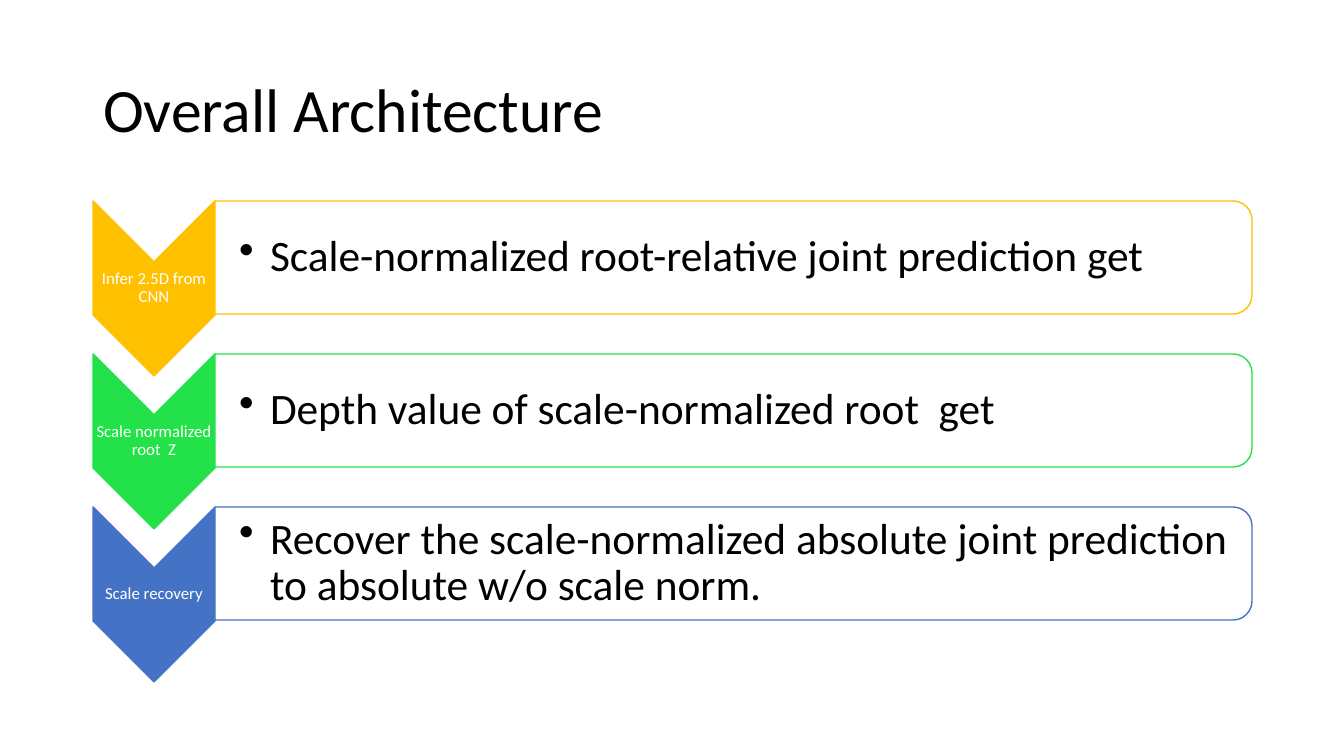
"""Build the Overall Architecture slide: three chevron steps with their results."""
from dataclasses import dataclass

from lxml import etree
from pptx import Presentation, util as u
from pptx.dml.color import RGBColor
from pptx.enum import shapes, text
from pptx.oxml.ns import qn

TITLE = "Overall Architecture"
STEPS = [
    ("Infer 2.5D from CNN", "Scale-normalized root-relative joint prediction get", "FFC000"),
    ("Scale normalized root  Z", "Depth value of scale-normalized root  get", "23E148"),
    ("Scale recovery",
     "Recover the scale-normalized absolute joint prediction to absolute w/o scale norm.", "4472C4"),
]


@dataclass(frozen=True)
class Theme:
    font: str = "Calibri"
    ink: str = "000000"
    paper: str = "FFFFFF"
    title_size: int = 44
    result_size: int = 31
    step_size: int = 12
    panel_alpha: int = 90
    outline: int = 1


THEME = Theme()
SLIDE_W, SLIDE_H = 1344, 756
LEFT, TOP, PITCH = 93, 201, 153
CHEVRON_W, CHEVRON_H = 122, 175
PANEL_W, PANEL_H = 1037, 113
LABEL_H, RESULT_W, RESULT_H = 52, 1032, 102
INDENT = 31


def px(length):
    return round(length * u.Inches(13.333333) / SLIDE_W)


def place(shape, left, top, width, height):
    shape.left, shape.top, shape.width, shape.height = map(px, (left, top, width, height))


def write(shape, words, size, color, align=text.PP_ALIGN.LEFT, insets=None, bullet=False):
    frame = shape.text_frame
    frame.word_wrap = True
    frame.auto_size = text.MSO_AUTO_SIZE.NONE
    frame.vertical_anchor = text.MSO_ANCHOR.MIDDLE
    if insets:
        frame.margin_left, frame.margin_top, frame.margin_right, frame.margin_bottom = map(px, insets)
    paragraph = frame.paragraphs[0]
    paragraph.alignment = align
    paragraph.line_spacing = 0.9
    run = paragraph.add_run()
    run.text = words
    run.font.name, run.font.size = THEME.font, u.Pt(size)
    run.font.color.rgb = RGBColor.from_string(color)
    if bullet:
        props = paragraph._p.get_or_add_pPr()
        props.set("marL", str(px(INDENT)))
        props.set("indent", str(-px(INDENT)))
        etree.SubElement(props, qn("a:buChar"), char="•")


def add_turned(slide, preset, left, top, width, height, fill, line):
    """Add a preset turned a quarter clockwise so that it covers the given box."""
    shape = slide.shapes.add_shape(preset, 0, 0, 0, 0)
    shift = (width - height) / 2
    place(shape, left + shift, top - shift, height, width)
    shape.rotation = 90
    shape.shadow.inherit = False
    shape.fill.solid()
    shape.fill.fore_color.rgb = RGBColor.from_string(fill)
    shape.line.color.rgb = RGBColor.from_string(line)
    shape.line.width = u.Pt(THEME.outline)
    return shape


def add_text(slide, left, top, width, height, words, **style):
    box = slide.shapes.add_textbox(0, 0, 0, 0)
    place(box, left, top, width, height)
    write(box, words, **style)


def add_step(slide, top, step, result, color):
    panel_left = LEFT + CHEVRON_W
    add_turned(slide, shapes.MSO_SHAPE.CHEVRON, LEFT, top, CHEVRON_W, CHEVRON_H, color, color)
    add_text(slide, LEFT, top + (CHEVRON_H - LABEL_H) / 2, CHEVRON_W, LABEL_H, step,
             size=THEME.step_size, color=THEME.paper, align=text.PP_ALIGN.CENTER, insets=(1, 1, 1, 1))
    panel = add_turned(slide, shapes.MSO_SHAPE.ROUND_2_SAME_RECTANGLE,
                       panel_left, top, PANEL_W, PANEL_H, THEME.paper, color)
    paper = panel._element.spPr.find(qn("a:solidFill"))[0]
    etree.SubElement(paper, qn("a:alpha"), val=str(THEME.panel_alpha * 1000))
    add_text(slide, panel_left, top + (PANEL_H - RESULT_H) / 2, RESULT_W, RESULT_H, result,
             size=THEME.result_size, color=THEME.ink, insets=(24, 2, 2, 2), bullet=True)


def main():
    deck = Presentation()
    deck.slide_width, deck.slide_height = px(SLIDE_W), px(SLIDE_H)
    slide = deck.slides.add_slide(deck.slide_layouts[5])
    place(slide.shapes.title, LEFT, 40, 1159, 146)
    write(slide.shapes.title, TITLE, size=THEME.title_size, color=THEME.ink)
    for row, (step, result, color) in enumerate(STEPS):
        add_step(slide, TOP + row * PITCH, step, result, color)
    deck.save("out.pptx")


if __name__ == "__main__":
    main()
